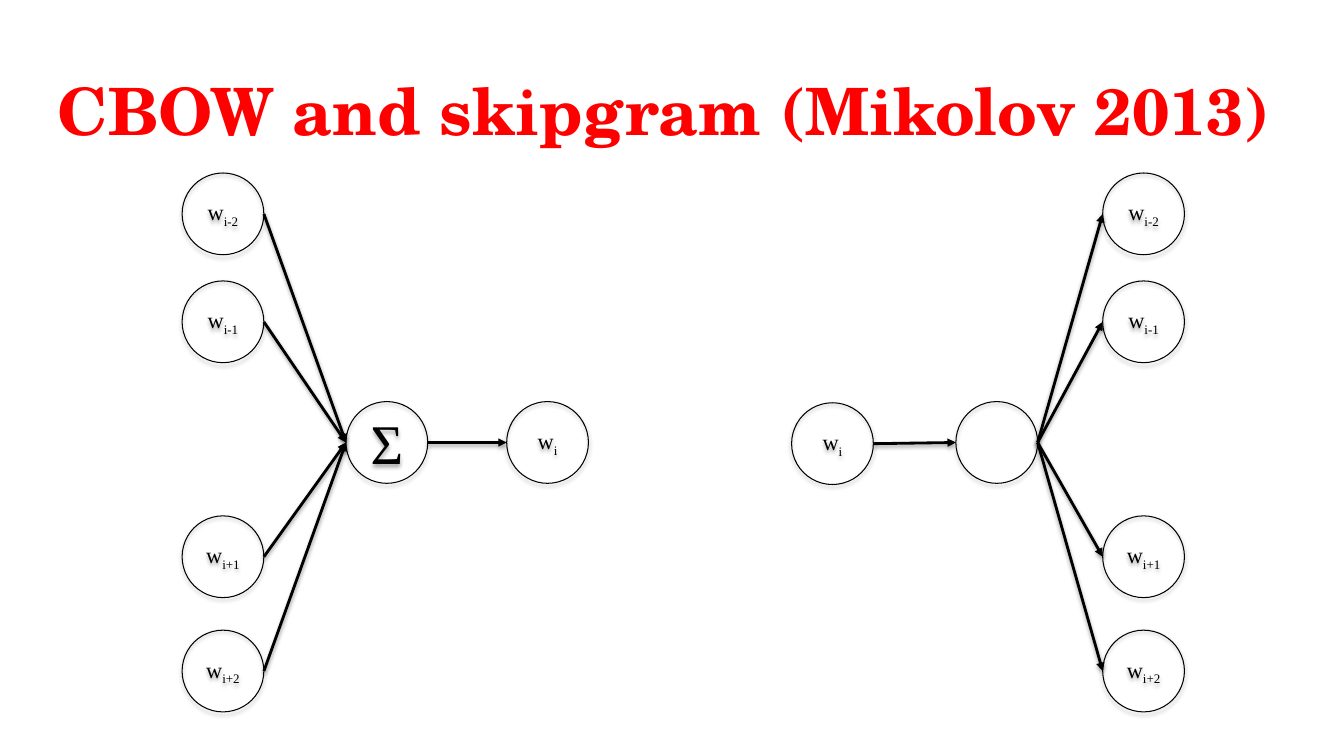
from lxml import etree
from pptx import Presentation
from pptx.dml.color import RGBColor
from pptx.enum.shapes import MSO_CONNECTOR as LINE, MSO_SHAPE as SHAPE
from pptx.enum.text import MSO_ANCHOR as ANCHOR, MSO_AUTO_SIZE as FIT, PP_ALIGN as ALIGN
from pptx.oxml import parse_xml
from pptx.oxml.ns import nsdecls, qn
from pptx.util import Cm, Pt

COLORS = {"title": "FF0000", "ink": "000000"}
TITLE_FONT, NODE_FONT = "TeX Gyre Schola", "Times New Roman"
DIAMETER = 2.06
CONTEXT = [("i-2", 0), ("i-1", 2.72), ("i+1", 8.64), ("i+2", 11.52)]
MIDDLE = 5.76


def rgb(name):
    return RGBColor.from_string(COLORS[name])


def add_shadow(sp, distance, alpha):
    sp.element.spPr.append(parse_xml(
        f'<a:effectLst {nsdecls("a")}>'
        f'<a:outerShdw blurRad="{Pt(3.1)}" dist="{Pt(distance)}" dir="5400000" rotWithShape="0">'
        f'<a:srgbClr val="{COLORS["ink"]}"><a:alpha val="{alpha * 1000}"/></a:srgbClr>'
        '</a:outerShdw></a:effectLst>'))


def add_title(s, text, x, y, w, h):
    sp = s.shapes.title
    sp.left, sp.top, sp.width, sp.height = Cm(x), Cm(y), Cm(w), Cm(h)
    tf = sp.text_frame
    tf.text = text
    tf.auto_size = FIT.NONE
    tf.vertical_anchor = ANCHOR.MIDDLE
    p = tf.paragraphs[0]
    p.alignment = ALIGN.CENTER
    p.font.name, p.font.size, p.font.bold = TITLE_FONT, Pt(46.6), True
    p.font.color.rgb = rgb("title")


def add_node(s, x, y, text="", sub="", size=16):
    sp = s.shapes.add_shape(SHAPE.OVAL, Cm(x), Cm(y), Cm(DIAMETER), Cm(DIAMETER))
    sp.fill.background()
    sp.line.color.rgb = rgb("ink")
    sp.line.width = Pt(0.75)
    add_shadow(sp, 1.8, 35)
    tf = sp.text_frame
    tf.word_wrap = False
    tf.vertical_anchor = ANCHOR.MIDDLE
    p = tf.paragraphs[0]
    p.alignment = ALIGN.CENTER
    p.font.name, p.font.size = NODE_FONT, Pt(size)
    p.font.color.rgb = rgb("ink")
    if text:
        p.add_run().text = text
    if sub:
        r = p.add_run()
        r.text = sub
        r.font._element.set("baseline", "-25000")
    return sp


def add_arrow(s, start, end):
    c = s.shapes.add_connector(LINE.STRAIGHT, start.left + start.width, start.top + start.height // 2,
                               end.left, end.top + end.height // 2)
    c.line.color.rgb = rgb("ink")
    c.line.width = Pt(2)
    etree.SubElement(c.line._get_or_add_ln(), qn("a:tailEnd"), type="triangle")
    add_shadow(c, 1.6, 38)


def add_context(s, x, y):
    return [add_node(s, x, y + dy, "w", sub) for sub, dy in CONTEXT]


def add_cbow(s, x, y):
    context = add_context(s, x, y)
    total = add_node(s, x + 4.13, y + MIDDLE, "Σ", size=40)
    word = add_node(s, x + 8.18, y + MIDDLE, "w", "i")
    for node in context:
        add_arrow(s, node, total)
    add_arrow(s, total, word)


def add_skipgram(s, x, y):
    context = add_context(s, x + 7.84, y)
    hidden = add_node(s, x + 4.14, y + MIDDLE)
    word = add_node(s, x, y + MIDDLE + 0.03, "w", "i")
    for node in context:
        add_arrow(s, hidden, node)
    add_arrow(s, word, hidden)


prs = Presentation()
prs.slide_width, prs.slide_height = Cm(33.87), Cm(19.05)
s = prs.slides.add_slide(prs.slide_layouts[5])
add_title(s, "CBOW and skipgram (Mikolov 2013)", 0.7, 1.45, 32.05, 2.6)
add_cbow(s, 4.59, 4.36)
add_skipgram(s, 19.95, 4.36)
prs.save("out.pptx")
